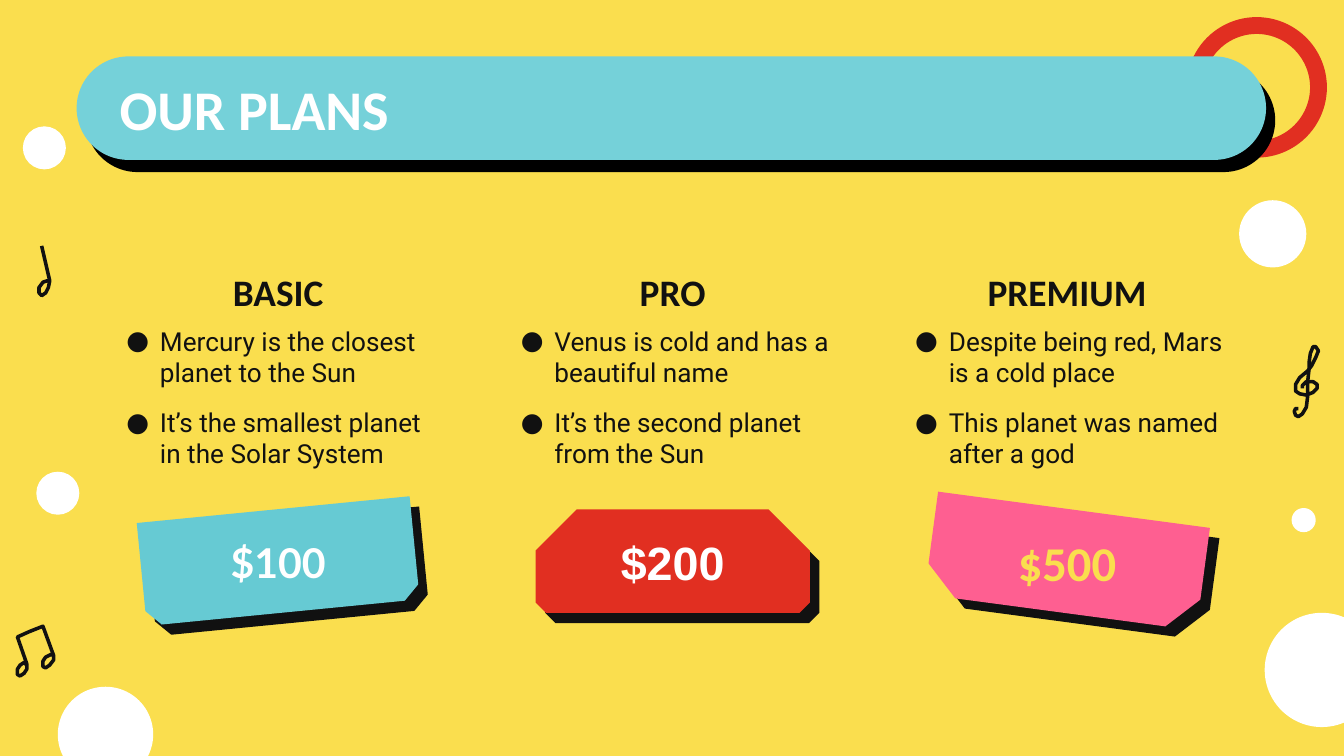
from typing import NamedTuple

from lxml import etree
from pptx import Presentation
from pptx.dml.color import RGBColor
from pptx.enum.shapes import MSO_SHAPE
from pptx.enum.text import MSO_ANCHOR, MSO_AUTO_SIZE, PP_ALIGN
from pptx.oxml.ns import qn
from pptx.util import Inches, Pt

OVAL = MSO_SHAPE.OVAL
PILL = MSO_SHAPE.ROUNDED_RECTANGLE
SNIP = MSO_SHAPE.SNIP_2_SAME_RECTANGLE
MIDDLE = MSO_ANCHOR.MIDDLE
FIXED = MSO_AUTO_SIZE.NONE
LEFT, CENTER = PP_ALIGN.LEFT, PP_ALIGN.CENTER

COLS, ROWS = 100, 56.25
CELL = Inches(0.1)
START, PITCH, WIDE = 7.9, 29.35, 25.6
COLOR = {
    "yellow": "FADE4E", "red": "E12F21", "white": "FFFFFF", "ink": "111111",
    "black": "000000", "aqua": "75D1D9", "teal": "66CAD3", "pink": "FE5F91",
}


class Box(NamedTuple):
    col: float
    row: float
    wide: float
    high: float


class Style(NamedTuple):
    font: str
    size: float
    color: str
    bold: bool = True


class Plan(NamedTuple):
    name: str
    items: tuple[str, ...]
    price: str
    style: Style
    fill: str
    turn: float
    snips: tuple[float, float]


DOTS = [
    Box(96.1, 37.8, 1.8, 1.8), Box(2.7, 35.1, 3.2, 3.2),
    Box(4.3, 51.1, 7.1, 7.1), Box(1.7, 9.4, 3.2, 3.2),
    Box(92.2, 14.9, 5, 5), Box(94.1, 45.6, 8.5, 8.5),
]
HALF = [(31, 183), (37, 209), (36, 214), (34, 218), (31, 220), (29, 218),
        (29, 214), (32, 210), (35, 209), (37, 209)]
PAIR = [(20, 495), (18, 493), (15, 495), (13, 498), (13, 502), (15, 503),
        (18, 501), (20, 498), (20, 494), (13, 474), (22, 470), (32, 466),
        (40, 488), (40, 491), (37, 495), (34, 497), (32, 496), (32, 492),
        (34, 489), (38, 487), (40, 488)]
CLEF = [(966, 304), (964, 304), (963, 306), (964, 309), (966, 310),
        (969, 308), (972, 303), (973, 295), (973, 284), (974, 275),
        (974, 270), (975, 263), (977, 258), (979, 258), (981, 261),
        (979, 266), (976, 272), (973, 276), (967, 281), (964, 286),
        (964, 291), (967, 293), (972, 294), (977, 292), (980, 289),
        (980, 286), (977, 284), (972, 284), (969, 287), (969, 289)]
PLANS = [
    Plan("BASIC", ("Mercury is the closest planet to the Sun",
                   "It’s the smallest planet in the Solar System"),
         "$100", Style("Lato", 22, "white"), "teal", 174.4, (0.145, 0)),
    Plan("PRO", ("Venus is cold and has a beautiful name",
                 "It’s the second planet from the Sun"),
         "$200", Style("Arial", 25, "white"), "red", 180, (0.1, 0.399)),
    Plan("PREMIUM", ("Despite being red, Mars is a cold place",
                     "This planet was named after a god"),
         "$500", Style("Calibri", 26, "yellow"), "pink", 187.6, (0.301, 0)),
]
TITLE = Style("Calibri", 30, "white")
HEAD = Style("Calibri", 20, "ink")
BODY = Style("Roboto", 14, "ink", False)


def rgb(name: str) -> RGBColor:
    return RGBColor.from_string(COLOR[name])


def span(box: Box) -> list[int]:
    return [round(part * CELL) for part in box]


def draw(slide, kind, box: Box, fill: str, snips=()):
    shape = slide.shapes.add_shape(kind, *span(box))
    shape.shadow.inherit = False
    shape.fill.solid()
    shape.fill.fore_color.rgb = rgb(fill)
    shape.line.fill.background()
    for i, snip in enumerate(snips):
        shape.adjustments[i] = snip
    return shape


def shade(shape, color: str, reach: float, angle: int) -> None:
    group = shape._element.spPr.find(qn("a:effectLst"))
    drop = etree.SubElement(group, qn("a:outerShdw"), blurRad="0",
                            dist=str(Pt(reach)), dir=str(angle * 60000),
                            algn="bl", rotWithShape="0")
    etree.SubElement(drop, qn("a:srgbClr"), val=COLOR[color])


def outline(shape, color: str, width: float) -> None:
    shape.fill.background()
    shape.line.color.rgb = rgb(color)
    shape.line.width = Pt(width)


def stroke(slide, points: list[tuple[int, int]]) -> None:
    pen = slide.shapes.build_freeform(*points[0], scale=CELL / 10)
    pen.add_line_segments(points[1:], close=False)
    note = pen.convert_to_shape()
    note.shadow.inherit = False
    outline(note, "ink", 1.9)
    line = note.line._get_or_add_ln()
    etree.SubElement(line, qn("a:round"))


def bullet(para) -> None:
    props = para._p.get_or_add_pPr()
    props.set("marL", str(Inches(0.3)))
    props.set("indent", str(Inches(-0.25)))
    tint = etree.SubElement(props, qn("a:buClr"))
    etree.SubElement(tint, qn("a:srgbClr"), val=COLOR["ink"])
    etree.SubElement(props, qn("a:buFont"), typeface="Roboto")
    etree.SubElement(props, qn("a:buChar"), char="●")


def write(shape, lines, style: Style, align=CENTER, listed=False) -> None:
    frame = shape.text_frame
    frame.word_wrap = True
    frame.auto_size = FIXED
    frame.vertical_anchor = MIDDLE
    frame.margin_left = frame.margin_right = CELL
    frame.margin_top = frame.margin_bottom = CELL
    frame.text = "\n".join(lines)
    for i, para in enumerate(frame.paragraphs):
        para.alignment = align
        para.line_spacing = 1.0
        para.space_before = Pt(10 if i else 0)
        if listed:
            bullet(para)
        font = para.font
        font.name, font.size, font.bold = style.font, Pt(style.size), style.bold
        font.color.rgb = rgb(style.color)


def place(slide, holder, box: Box):
    holder.left, holder.top, holder.width, holder.height = span(box)
    slide.shapes._spTree.append(holder._element)
    return holder


def label(slide, box: Box, text: str, style: Style) -> None:
    write(slide.shapes.add_textbox(*span(box)), [text], style)


def offer(slide, plan: Plan, col: float, holder) -> None:
    mid = col + WIDE / 2
    tag = draw(slide, SNIP, Box(mid - 10.2, 37.9, 20.4, 7.7), plan.fill, plan.snips)
    tag.rotation = plan.turn
    shade(tag, "ink", 7.5, 47)
    label(slide, Box(col, 19.8, WIDE, 3.8), plan.name, HEAD)
    place(slide, holder, Box(col, 24.3, WIDE, 10.5))
    write(holder, plan.items, BODY, LEFT, True)
    label(slide, Box(mid - 8, 39.5, 16, 4.6), plan.price, plan.style)


def main() -> None:
    deck = Presentation()
    deck.slide_width, deck.slide_height = round(COLS * CELL), round(ROWS * CELL)
    slide = deck.slides.add_slide(deck.slide_layouts[4])
    slide.background.fill.solid()
    slide.background.fill.fore_color.rgb = rgb("yellow")
    title, *lists, spare = list(slide.placeholders)
    spare._element.getparent().remove(spare._element)

    outline(draw(slide, OVAL, Box(88.9, 1.9, 9.2, 9.2), "red"), "red", 9)
    for dot in DOTS:
        draw(slide, OVAL, dot, "white")
    for note in (HALF, PAIR, CLEF):
        stroke(slide, note)
    bar = draw(slide, PILL, Box(5.7, 4.2, 88.5, 7.7), "aqua", [0.5])
    shade(bar, "black", 8.2, 53)
    write(place(slide, title, Box(START, 4.9, 84.3, 6.3)), ["OUR PLANS"], TITLE, LEFT)
    for i, (plan, holder) in enumerate(zip(PLANS, lists)):
        offer(slide, plan, START + i * PITCH, holder)
    deck.save("out.pptx")


if __name__ == "__main__":
    main()
